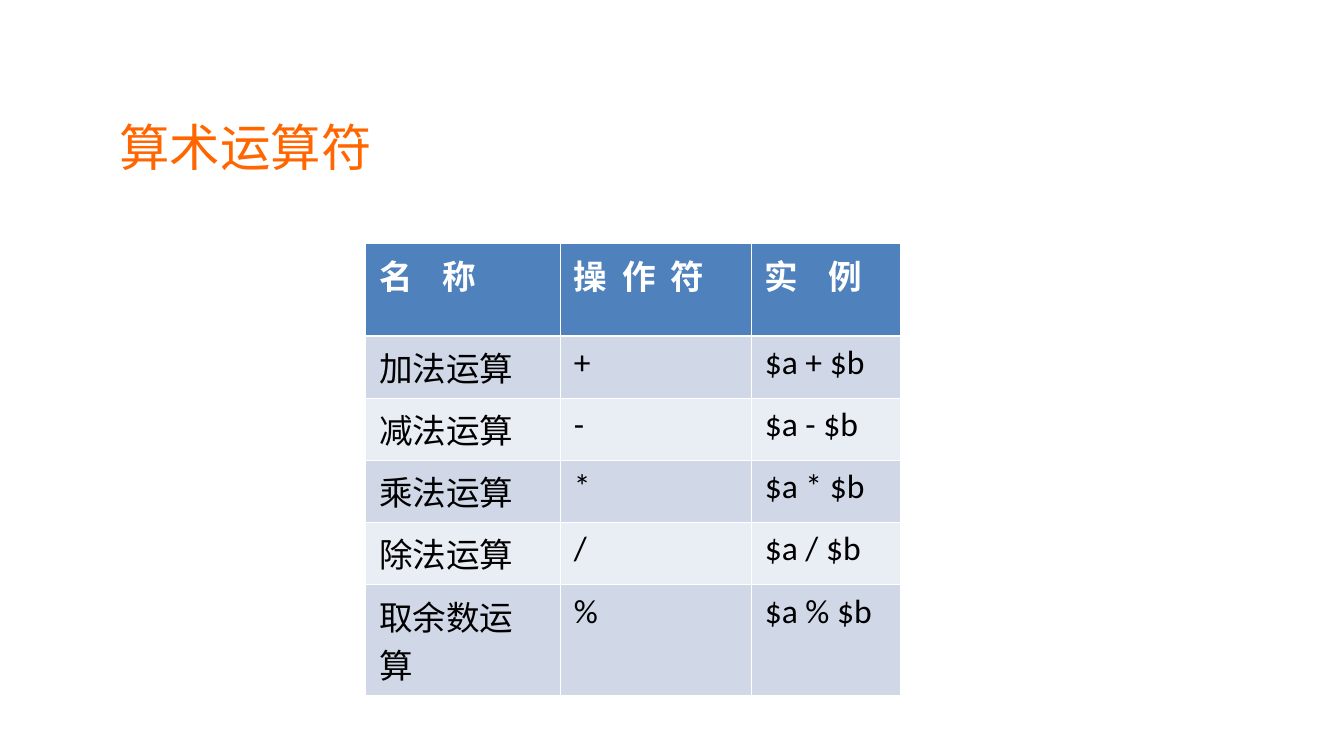
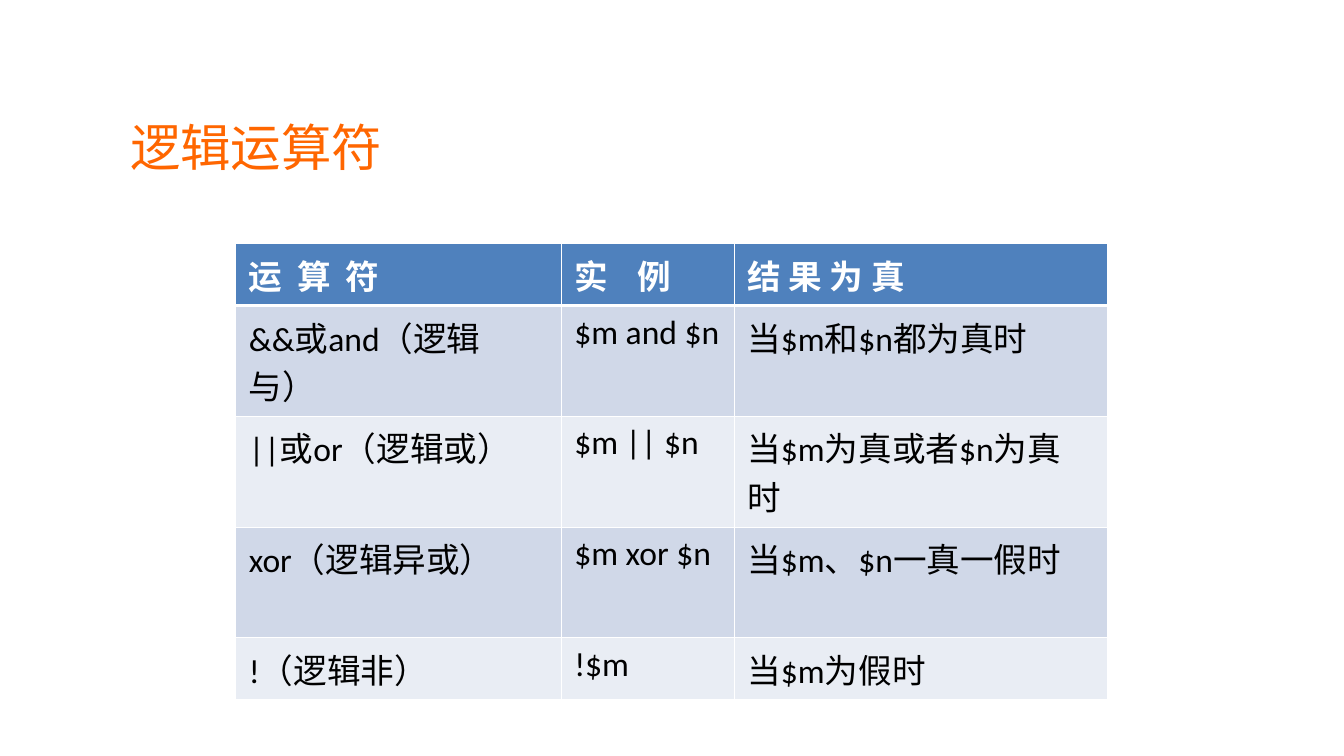
from dataclasses import dataclass

from lxml import etree
from pptx import Presentation
from pptx.dml.color import RGBColor
from pptx.enum.text import MSO_ANCHOR, PP_ALIGN
from pptx.oxml.ns import qn
from pptx.util import Cm, Pt

LEFT = PP_ALIGN.LEFT
MIDDLE = MSO_ANCHOR.MIDDLE


@dataclass(frozen=True)
class Theme:
    accent: str = "FF6600"
    header: str = "4F81BD"
    bands: tuple = ("D0D8E8", "E9EDF4")
    white: str = "FFFFFF"
    black: str = "000000"
    title_font: str = "Arial"
    table_font: str = "Calibri"
    title_size: int = 27
    table_size: int = 18
    thin: float = 0.45
    thick: float = 1.47


theme = Theme()


def add_text(p, text, font=theme.table_font, size=theme.table_size,
             color=theme.black, bold=False, spacing=0):
    r = p.add_run()
    r.text = text
    r.font.name = font
    r.font.size = Pt(size)
    r.font.bold = bold
    r.font.color.rgb = RGBColor.from_string(color)
    if spacing:
        r.font._element.set("spc", str(spacing * 100))


def add_border(cell, side, width):
    ln = etree.SubElement(cell._tc.get_or_add_tcPr(), qn(f"a:ln{side}"), w=str(Pt(width)))
    fill = etree.SubElement(ln, qn("a:solidFill"))
    etree.SubElement(fill, qn("a:srgbClr"), val=theme.white)


slides = [
    {
        "title": "算术运算符",
        "title_left": 2.06,
        "title_width": 9.73,
        "table_left": 6.91,
        "cols": [3.68, 3.61, 2.82],
        "heights": [1.75] + [1.02] * 5,
        "header": [("名称", 16), ("操作符", 8), ("实例", 16)],
        "rows": [
            ("加法运算", "+", "$a + $b"),
            ("减法运算", "-", "$a - $b"),
            ("乘法运算", "*", "$a * $b"),
            ("除法运算", "/", "$a / $b"),
            ("取余数运算", "%", "$a % $b"),
        ],
    },
    {
        "title": "逻辑运算符",
        "title_left": 2.26,
        "title_width": 13.64,
        "table_left": 4.45,
        "cols": [6.15, 3.27, 7.06],
        "heights": [1.02, 1.78, 1.78, 1.02, 1.02],
        "header": [("运算符", 8), ("实例", 16), ("结 果 为 真", 0)],
        "rows": [
            ("&&或and（逻辑与）", "$m and $n", "当$m和$n都为真时"),
            ("||或or（逻辑或）", "$m || $n", "当$m为真或者$n为真时"),
            ("xor（逻辑异或）", "$m xor $n", "当$m、$n一真一假时"),
            ("!（逻辑非）", "!$m", "当$m为假时"),
        ],
    },
]

prs = Presentation()
prs.slide_width, prs.slide_height = Cm(25.4), Cm(14.29)
title_only = prs.slide_layouts[5]

for content in slides:
    s = prs.slides.add_slide(title_only)

    sp = s.shapes.title
    sp.left, sp.top = Cm(content["title_left"]), Cm(1.78)
    sp.width, sp.height = Cm(content["title_width"]), Cm(1.96)
    tf = sp.text_frame
    tf.word_wrap = True
    tf.vertical_anchor = MIDDLE
    tf.margin_left = tf.margin_right = Cm(0.2)
    tf.margin_top = tf.margin_bottom = Cm(0.1)
    p = tf.paragraphs[0]
    p.alignment = LEFT
    add_text(p, content["title"], font=theme.title_font, size=theme.title_size,
             color=theme.accent)

    cols, heights = content["cols"], content["heights"]
    table = s.shapes.add_table(len(heights), len(cols), Cm(content["table_left"]), Cm(4.6),
                               Cm(sum(cols)), Cm(sum(heights))).table
    for column, width in zip(table.columns, cols):
        column.width = Cm(width)
    for row, height in zip(table.rows, heights):
        row.height = Cm(height)

    for i, values in enumerate([content["header"]] + content["rows"]):
        for j, value in enumerate(values):
            cell = table.cell(i, j)
            add_border(cell, "L", theme.thin)
            add_border(cell, "R", theme.thin)
            add_border(cell, "T", theme.thick if i == 1 else theme.thin)
            add_border(cell, "B", theme.thick if i == 0 else theme.thin)
            cell.fill.solid()
            color = theme.header if i == 0 else theme.bands[(i - 1) % 2]
            cell.fill.fore_color.rgb = RGBColor.from_string(color)
            p = cell.text_frame.paragraphs[0]
            if i == 0:
                text, gap = value
                add_text(p, text[:-1], color=theme.white, bold=True, spacing=gap)
                add_text(p, text[-1], color=theme.white, bold=True)
            else:
                add_text(p, value)

prs.save("out.pptx")
